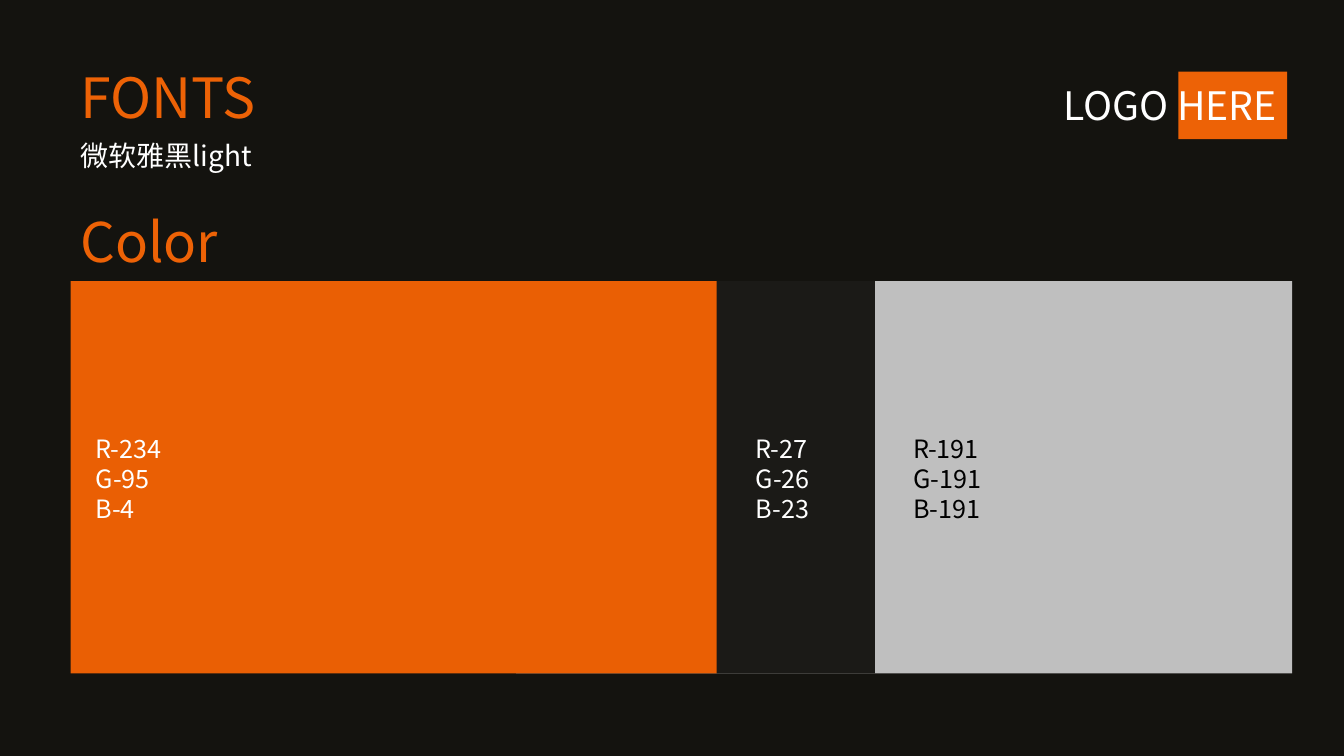
"""Build a brand guide slide showing the typeface and the colour swatches."""
from dataclasses import dataclass
from typing import Optional

from lxml import etree
from pptx import Presentation, util as u
from pptx.dml.color import RGBColor
from pptx.enum import shapes, text
from pptx.oxml import ns


@dataclass(frozen=True)
class Theme:
    font: str = "Noto Sans CJK SC"
    background: str = "14130F"
    accent: str = "ED6206"
    orange: str = "EA5F04"
    black: str = "1B1A17"
    grey: str = "BFBFBF"
    light: str = "FFFFFF"
    dark: str = "000000"
    heading: float = 39.6
    subheading: float = 39
    logo: float = 28
    body: float = 20
    label: float = 18


@dataclass(frozen=True)
class Area:
    """Left, top, width and height in percent of the slide."""
    left: float
    top: float
    width: float
    height: float


@dataclass(frozen=True)
class Block:
    area: Area
    fill: str


@dataclass(frozen=True)
class Caption:
    area: Area
    lines: tuple[str, ...]
    size: float
    color: str
    middle: bool = True
    wrap: bool = True
    spacing: Optional[float] = None
    before: float = 0


THEME = Theme()
WIDTH, HEIGHT = u.Inches(13.333), u.Inches(7.5)
MARGIN, CONTENT = 5.25, 89.55
SWATCH_TOP, SWATCH_HEIGHT = 37.2, 51.87
LABEL_TOP, LABEL_WIDTH, LABEL_HEIGHT = 51.73, 7.35, 23.07


def swatch(left: float, width: float, fill: str) -> Block:
    return Block(Area(left, SWATCH_TOP, width, SWATCH_HEIGHT), fill)


def channels(left: float, fill: str, color: str) -> Caption:
    values = RGBColor.from_string(fill)
    lines = tuple(f"{name}-{value}" for name, value in zip("RGB", values))
    area = Area(left, LABEL_TOP, LABEL_WIDTH, LABEL_HEIGHT)
    return Caption(area, lines, THEME.label, color)


BLOCKS = (
    Block(Area(87.68, 9.47, 8.1, 8.93), THEME.accent),
    swatch(38.4, 57.75, THEME.grey),
    swatch(7.35, 57.75, THEME.black),
    swatch(MARGIN, 48.08, THEME.orange),
)

CAPTIONS = (
    Caption(Area(78.38, 10.13, 18.15, 7.6), ("LOGO HERE",), THEME.logo,
            THEME.light, middle=False, wrap=False),
    Caption(Area(MARGIN, 8.53, CONTENT, 9.6), ("FONTS",), THEME.heading,
            THEME.accent, spacing=0.9),
    Caption(Area(MARGIN, 18.13, CONTENT, 9.47), ("微软雅黑light",), THEME.body,
            THEME.light, middle=False, spacing=0.9, before=10),
    Caption(Area(MARGIN, 27.6, CONTENT, 9.6), ("Color",), THEME.subheading,
            THEME.accent, spacing=0.9),
    channels(6.38, THEME.orange, THEME.light),
    channels(55.5, THEME.black, THEME.light),
    channels(67.2, THEME.grey, THEME.dark),
)


def place(area: Area) -> tuple[int, int, int, int]:
    return (round(WIDTH * area.left / 100), round(HEIGHT * area.top / 100),
            round(WIDTH * area.width / 100), round(HEIGHT * area.height / 100))


def draw_block(page, block: Block) -> None:
    box = page.shapes.add_shape(shapes.MSO_SHAPE.RECTANGLE, *place(block.area))
    box.shadow.inherit = False
    box.fill.solid()
    box.fill.fore_color.rgb = RGBColor.from_string(block.fill)
    box.line.fill.background()


def draw_caption(page, caption: Caption) -> None:
    frame = page.shapes.add_textbox(*place(caption.area)).text_frame
    frame.word_wrap = caption.wrap
    anchor = text.MSO_ANCHOR
    frame.vertical_anchor = anchor.MIDDLE if caption.middle else anchor.TOP
    frame.text = "\n".join(caption.lines)
    for para in frame.paragraphs:
        para.line_spacing = caption.spacing
        para.space_before = u.Pt(caption.before)
        para.font.size = u.Pt(caption.size)
        para.font.color.rgb = RGBColor.from_string(caption.color)
        para.font.name = THEME.font
        latin = next(para._p.iter(ns.qn("a:latin")))
        east_asian = etree.Element(ns.qn("a:ea"), typeface=THEME.font)
        latin.addnext(east_asian)


def main() -> None:
    deck = Presentation()
    deck.slide_width, deck.slide_height = WIDTH, HEIGHT
    page = deck.slides.add_slide(deck.slide_layouts[6])
    page.background.fill.solid()
    page.background.fill.fore_color.rgb = RGBColor.from_string(THEME.background)
    for block in BLOCKS:
        draw_block(page, block)
    for caption in CAPTIONS:
        draw_caption(page, caption)
    deck.save("out.pptx")


if __name__ == "__main__":
    main()
